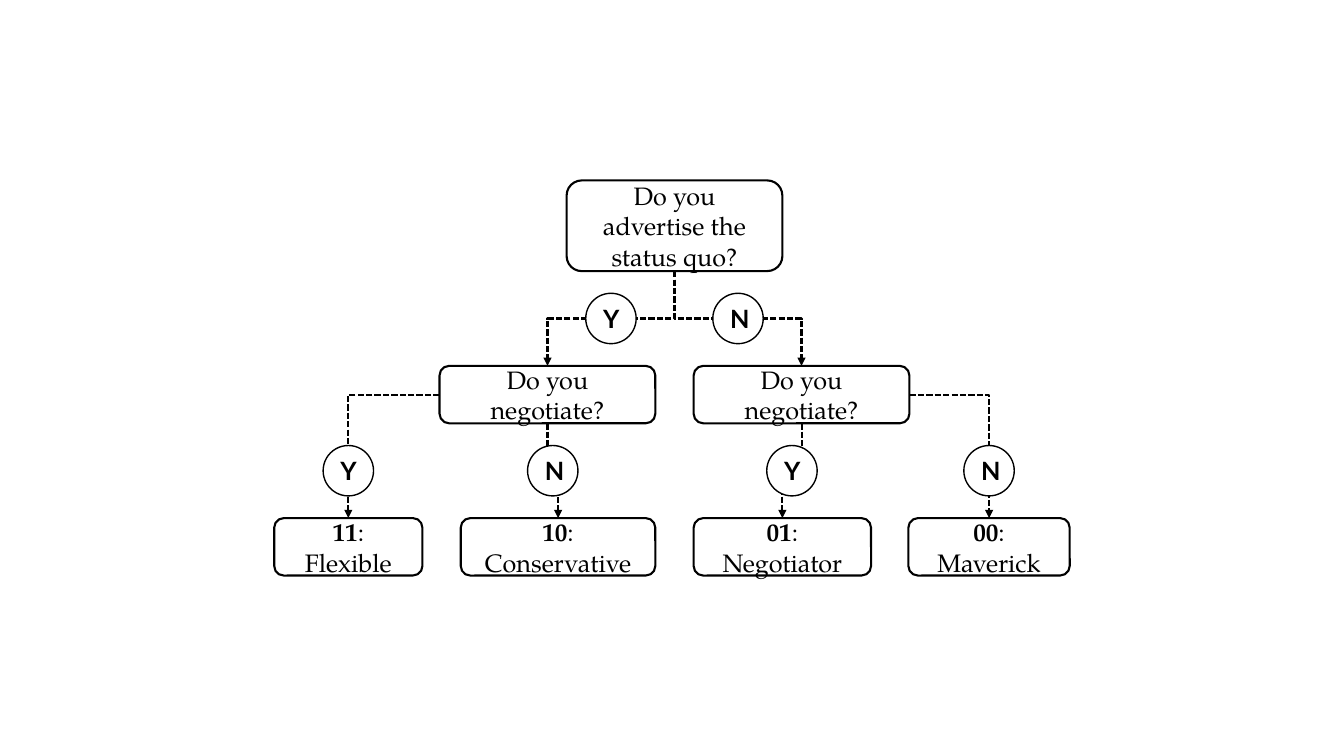
from pptx import Presentation
from pptx.dml.color import RGBColor
from pptx.enum.dml import MSO_LINE
from pptx.enum.shapes import MSO_CONNECTOR, MSO_SHAPE
from pptx.enum.text import MSO_ANCHOR, PP_ALIGN
from pptx.oxml.ns import qn
from pptx.util import Inches, Pt
from lxml import etree

COLORS = {"ink": "000000", "paper": "FFFFFF"}
SERIF, SANS = "TeX Gyre Pagella", "Lato"
TOP, LEFT, BOTTOM, RIGHT = range(4)  # connection sites of a rounded box
CIRCLE = Inches(0.5)
ROOT_Y, QUESTION_Y, RESULT_Y = 1.79, 3.63, 5.14
QUESTION_W, ROOT_H, BOX_H = 2.14, 0.9, 0.57

# result: left, width, code, name, side of the question, answer
BRANCHES = [
    (4.36, [(2.72, 1.47, "11", "Flexible", LEFT, "Y"),
            (4.57, 1.93, "10", "Conservative", BOTTOM, "N")], "Y"),
    (6.88, [(6.88, 1.76, "01", "Negotiator", BOTTOM, "Y"),
            (9.01, 1.6, "00", "Maverick", RIGHT, "N")], "N"),
]


def rgb(name):
    return RGBColor.from_string(COLORS[name])


def add_node(slide, kind, box, runs, font, line_width):
    """Add an outlined shape; runs is a list of (text, bold)."""
    sp = slide.shapes.add_shape(kind, *box)
    sp.shadow.inherit = False
    sp.fill.solid()
    sp.fill.fore_color.rgb = rgb("paper")
    sp.line.color.rgb = rgb("ink")
    sp.line.width = Pt(line_width)
    tf = sp.text_frame
    tf.word_wrap = True
    tf.vertical_anchor = MSO_ANCHOR.MIDDLE
    p = tf.paragraphs[0]
    p.alignment = PP_ALIGN.CENTER
    for text, bold in runs:
        r = p.add_run()
        r.text = text
        for key, value in {"name": font, "size": Pt(18), "bold": bold}.items():
            setattr(r.font, key, value)
        r.font.color.rgb = rgb("ink")
    return sp


def add_box(slide, left, top, width, height, runs):
    box = [Inches(v) for v in (left, top, width, height)]
    return add_node(slide, MSO_SHAPE.ROUNDED_RECTANGLE, box, runs, SERIF, 1.5)


def add_answer(slide, center, letter):
    x, y = center
    box = (x - CIRCLE // 2, y - CIRCLE // 2, CIRCLE, CIRCLE)
    add_node(slide, MSO_SHAPE.OVAL, box, [(letter, True)], SANS, 1)


def site_point(sp, site):
    x, y = sp.left + sp.width // 2, sp.top + sp.height // 2
    return {TOP: (x, sp.top), LEFT: (sp.left, y),
            BOTTOM: (x, sp.top + sp.height), RIGHT: (sp.left + sp.width, y)}[site]


def add_arrow(slide, parent, site, child):
    """Join a side of parent to the top of child; return the answer's center."""
    x1, y1 = site_point(parent, site)
    x2, y2 = site_point(child, TOP)
    cx, cy = (x1 + x2) // 2, (y1 + y2) // 2
    c = slide.shapes.add_connector(MSO_CONNECTOR.ELBOW, x1, y1, x2, y2)
    c.begin_connect(parent, site)
    c.end_connect(child, TOP)
    sp_pr = c._element.spPr
    if site == BOTTOM:
        # A path that leaves downwards is a sideways elbow turned a quarter
        half_w, half_h = (y2 - y1) // 2, abs(x2 - x1) // 2
        sign = 1 if x2 < x1 else -1
        ends = {"begin_x": cx - sign * half_w, "begin_y": cy - half_h,
                "end_x": cx + sign * half_w, "end_y": cy + half_h}
        for key, value in ends.items():
            setattr(c, key, value)
        sp_pr.find(qn("a:xfrm")).set("rot", str((90 if sign > 0 else 270) * 60000))
        center = cx, cy
    else:
        sp_pr.find(qn("a:prstGeom")).set("prst", "bentConnector2")
        center = x2, (parent.top + parent.height + y2) // 2
    c.line.color.rgb = rgb("ink")
    c.line.width = Pt(1.5)
    c.line.dash_style = MSO_LINE.SQUARE_DOT
    etree.SubElement(sp_pr.find(qn("a:ln")), qn("a:tailEnd"), type="triangle")
    etree.SubElement(sp_pr, qn("a:effectLst"))
    return center


def add_decision_tree(slide):
    answers = []
    root = add_box(slide, 5.62, ROOT_Y, QUESTION_W, ROOT_H,
                   [("Do you advertise the status quo?", False)])
    for left, results, answer in BRANCHES:
        question = add_box(slide, left, QUESTION_Y, QUESTION_W, BOX_H,
                           [("Do you negotiate?", False)])
        answers.append((add_arrow(slide, root, BOTTOM, question), answer))
        for x, width, code, name, site, letter in results:
            result = add_box(slide, x, RESULT_Y, width, BOX_H,
                             [(code, True), (f": {name}", False)])
            answers.append((add_arrow(slide, question, site, result), letter))
    for center, letter in answers:
        add_answer(slide, center, letter)


def main():
    prs = Presentation()
    prs.slide_width, prs.slide_height = Inches(13.33), Inches(7.5)
    add_decision_tree(prs.slides.add_slide(prs.slide_layouts[6]))
    prs.save("out.pptx")


if __name__ == "__main__":
    main()
